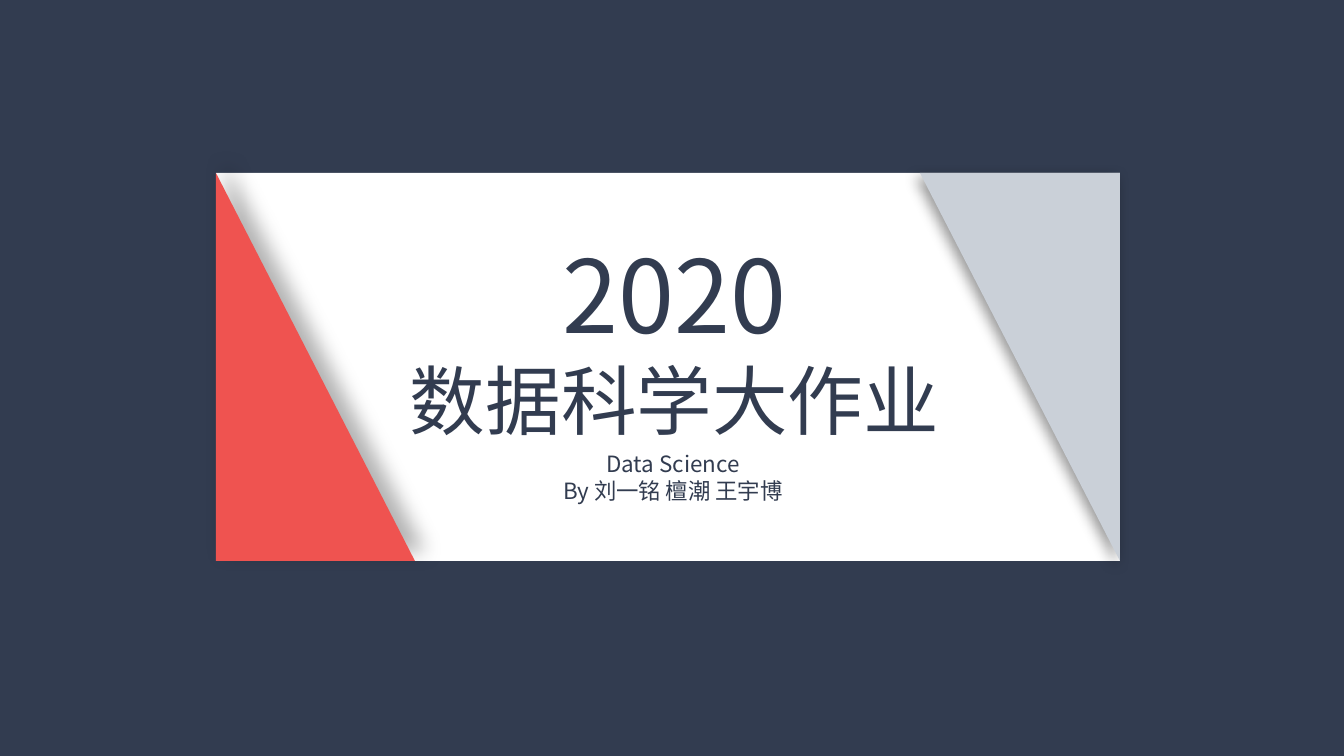
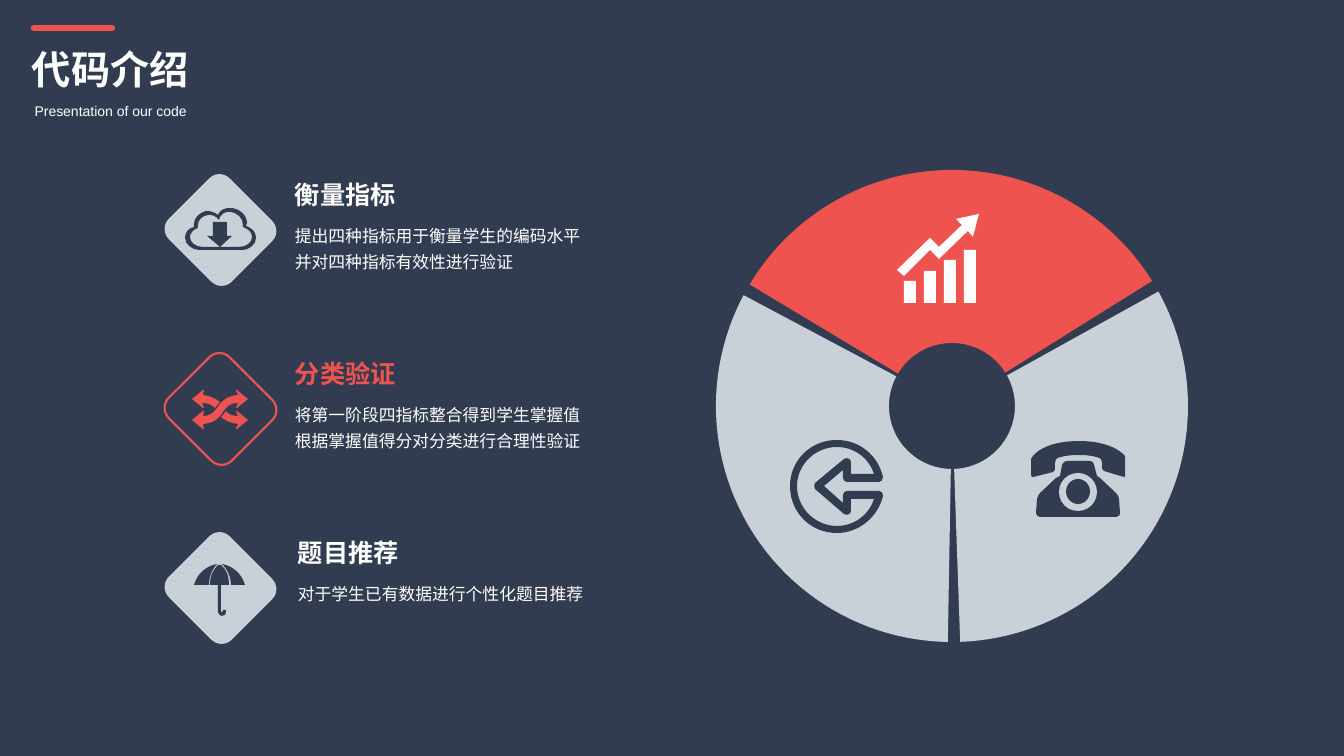
from lxml import etree
from pptx import Presentation
from pptx import util as u
from pptx.dml.color import RGBColor
from pptx.enum import shapes, text
from pptx.oxml import ns

COLORS = {"navy": "323C50", "red": "EF5350", "grey": "CAD0D8", "white": "FFFFFF", "black": "000000"}
CJK = "Noto Sans CJK SC"
EMU_PER_PX = 12192000 / 1344
SHAPE = shapes.MSO_SHAPE
CENTER = text.PP_ALIGN.CENTER

# Outlines in px: a pair is a corner, six numbers are a cubic curve.
TREND_ARROW = [[(973, 237), (979, 214), (956, 219), (962, 225), (939, 247), (930, 238),
                (897, 270), (904, 276), (930, 250), (939, 259), (968, 231)]]
HANDSET = [[(1125, 456), (1125, 456, 1114, 441, 1079, 441), (1043, 441, 1033, 456, 1033, 456),
            (1031, 459), (1031, 476), (1033, 477), (1053, 472), (1055, 470), (1055, 463),
            (1056, 459), (1056, 459, 1061, 455, 1079, 455), (1096, 455, 1101, 459, 1101, 459),
            (1102, 463), (1102, 469), (1104, 471), (1124, 477), (1125, 476)]]
PHONE_BODY = [[(1116, 493), (1100, 478), (1097, 476), (1094, 465), (1094, 462, 1092, 461, 1090, 461),
               (1067, 461), (1065, 461, 1063, 462, 1062, 465), (1060, 476), (1056, 478),
               (1040, 493), (1039, 495, 1037, 497, 1037, 499), (1036, 513),
               (1036, 515, 1038, 517, 1040, 517), (1116, 517), (1119, 517, 1120, 515, 1120, 513),
               (1119, 499), (1119, 497, 1118, 495, 1116, 493)]]
RETURN_ARROW = [
    [(837, 533), (810, 533, 790, 512, 790, 486), (790, 461, 810, 440, 837, 440),
     (859, 440, 878, 455, 883, 477), (883, 480, 881, 482, 879, 482), (847, 482),
     (845, 482, 843, 480, 843, 478), (843, 470), (824, 486), (843, 503), (843, 495),
     (843, 493, 845, 491, 847, 491), (879, 491), (882, 491, 883, 493, 883, 496),
     (878, 517, 859, 533, 837, 533)],
    [(837, 447), (815, 447, 797, 465, 797, 486), (797, 508, 815, 526, 837, 526),
     (854, 526, 869, 515, 874, 499), (851, 499), (851, 511), (851, 514, 847, 516, 844, 514),
     (815, 489), (814, 487, 814, 485, 815, 483), (844, 459), (847, 457, 851, 459, 851, 462),
     (851, 474), (874, 474), (869, 458, 854, 447, 837, 447)]]
CLOUD = [
    [(246, 226), (247, 223), (247, 215, 239, 208, 230, 208),
     (220, 208, 218, 215, 218, 215), (218, 215, 214, 211, 206, 211),
     (199, 213, 194, 218, 194, 224), (194, 227), (189, 228, 185, 232, 185, 238),
     (185, 244, 192, 250, 199, 250), (242, 250), (250, 250, 256, 244, 256, 238),
     (256, 232, 252, 228, 246, 226)],
    [(239, 247), (203, 247), (196, 247, 190, 243, 190, 237), (190, 233, 194, 229, 198, 228),
     (198, 225), (198, 220, 202, 216, 208, 215), (215, 214, 219, 220, 219, 220),
     (219, 220, 220, 212, 229, 212), (237, 212, 243, 218, 243, 225), (243, 227),
     (248, 229, 252, 232, 252, 237), (252, 243, 246, 247, 239, 247)],
    [(213, 222), (227, 222), (227, 236), (232, 236), (220, 247), (207, 236), (213, 236)]]
SHUFFLE = [
    [(248, 420), (237, 429), (236, 429), (238, 424), (229, 423, 225, 420, 221, 417),
     (223, 415, 224, 414, 226, 411), (228, 414, 232, 416, 238, 416), (236, 411), (237, 411)],
    [(204, 408), (202, 403), (209, 403, 212, 405, 215, 408), (220, 402),
     (216, 399, 211, 396, 203, 395), (204, 390), (203, 390), (192, 399), (203, 408)],
    [(223, 412), (227, 407, 229, 403, 238, 403), (236, 408), (237, 408), (248, 399),
     (237, 390), (236, 390), (238, 395), (226, 396, 221, 402, 217, 408),
     (214, 412, 211, 416, 203, 416), (204, 411), (203, 411), (192, 420), (203, 429),
     (204, 429), (203, 424), (215, 423, 220, 417, 223, 412)]]
UMBRELLA = [
    [(194, 585), (197, 574, 206, 566, 217, 564), (216, 565, 209, 573, 209, 585)],
    [(210, 585), (210, 575, 214, 569, 218, 565), (221, 565), (226, 569, 229, 575, 229, 585)],
    [(231, 585), (231, 573, 223, 565, 222, 564), (233, 566, 242, 574, 245, 585)],
    [(218, 585), (218, 612), (218, 614, 220, 616, 222, 616), (225, 616, 226, 614, 226, 612),
     (226, 610), (223, 610), (223, 611), (223, 613, 221, 613, 221, 611), (221, 585)]]

# Heading, body lines, right shift of the text, icon, whether the item is highlighted
TOPICS = [
    ("衡量指标", ["提出四种指标用于衡量学生的编码水平", "并对四种指标有效性进行验证"], 0, CLOUD, False),
    ("分类验证", ["将第一阶段四指标整合得到学生掌握值", "根据掌握值得分对分类进行合理性验证"], 0, SHUFFLE, True),
    ("题目推荐", ["对于学生已有数据进行个性化题目推荐"], 3, UMBRELLA, False),
]


def px(length):
    return u.Emu(round(length * EMU_PER_PX))


def rgb(color):
    return RGBColor.from_string(COLORS[color])


def paint(shape, fill=None, line=None):
    shape.shadow.inherit = False
    if fill:
        shape.fill.solid()
        shape.fill.fore_color.rgb = rgb(fill)
    else:
        shape.fill.background()
    if line:
        shape.line.color.rgb = rgb(line)
        shape.line.width = u.Pt(1.5)
    else:
        shape.line.fill.background()
    return shape


def add_preset(slide, kind, left, top, width, height, fill=None, line=None, rotation=0):
    shape = slide.shapes.add_shape(kind, px(left), px(top), px(width), px(height))
    shape.rotation = rotation
    return paint(shape, fill, line)


def cast_shadow(shape, opacity, blur, distance, angle):
    effects = shape.element.spPr.find(ns.qn("a:effectLst"))
    shadow = etree.SubElement(
        effects, ns.qn("a:outerShdw"), blurRad=str(u.Pt(blur)), dist=str(u.Pt(distance)),
        dir=str(angle * 60000), algn="ctr", rotWithShape="0")
    tint = etree.SubElement(shadow, ns.qn("a:srgbClr"), val=COLORS["black"])
    etree.SubElement(tint, ns.qn("a:alpha"), val=str(opacity * 1000))


def bend_segments(shape, contours):
    """Replace the straight segments that stand for cubic curves."""
    parts = [part for contour in contours for part in contour[1:]]
    for segment, part in zip(list(shape.element.iter(ns.qn("a:lnTo"))), parts):
        if len(part) == 2:
            continue
        curve = etree.Element(ns.qn("a:cubicBezTo"))
        for x, y in zip(part[::2], part[1::2]):
            etree.SubElement(curve, ns.qn("a:pt"),
                             x=str(px(x) - shape.left), y=str(px(y) - shape.top))
        segment.getparent().replace(segment, curve)


def add_outline(slide, contours, fill):
    builder = None
    for contour in contours:
        start, *ends = [(px(part[-2]), px(part[-1])) for part in contour]
        if builder is None:
            builder = slide.shapes.build_freeform(*start)
        else:
            builder.move_to(*start)
        builder.add_line_segments(ends, close=True)
    shape = builder.convert_to_shape()
    bend_segments(shape, contours)
    paint(shape, fill)


def add_sector(slide, center, inner, outer, start, span, fill):
    size = 2 * outer
    sector = add_preset(slide, SHAPE.BLOCK_ARC, center[0] - outer, center[1] - outer,
                        size, size, fill)
    # An angle adjustment of 0.6 is one degree.
    sector.adjustments[0] = start * 0.6
    sector.adjustments[1] = (start + span) % 360 * 0.6
    sector.adjustments[2] = (outer - inner) / size


def add_text(slide, left, top, width, height, lines, sizes, color="white", font="Arial",
             bold=False, align=None, spacing=None, wrap=True):
    box = slide.shapes.add_textbox(px(left), px(top), px(width), px(height))
    frame = box.text_frame
    frame.word_wrap = wrap
    frame.text = "\n".join(lines)
    for paragraph, size in zip(frame.paragraphs, sizes):
        paragraph.alignment = align
        paragraph.line_spacing = spacing
        for run in paragraph.runs:
            run.font.name = font
            run.font.size = u.Pt(size)
            run.font.bold = bold
            run.font.color.rgb = rgb(color)
            etree.SubElement(run.font._element, ns.qn("a:ea"), typeface=CJK)


def add_header(slide, title, subtitle):
    accent = slide.shapes.add_connector(shapes.MSO_CONNECTOR.STRAIGHT,
                                        px(34), px(28), px(112), px(28))
    accent.line.color.rgb = rgb("red")
    accent.line.width = u.Pt(4.5)
    accent.line._ln.set("cap", "rnd")
    etree.SubElement(accent._element.spPr, ns.qn("a:effectLst"))
    add_text(slide, 22, 40, 178, 57, [title], [28], bold=True, wrap=False)
    add_text(slide, 24, 98, 173, 27, [subtitle], [10], align=CENTER, wrap=False)


def add_topic(slide, top, heading, body, shift, icon, highlighted):
    colors = {"line": "red"} if highlighted else {"fill": "grey"}
    add_preset(slide, SHAPE.ROUNDED_RECTANGLE, 176, top + 13, 89, 86, rotation=45, **colors)
    add_outline(slide, icon, "red" if highlighted else "navy")
    left = 285 + shift
    add_text(slide, left, top, 121, 40, [heading], [18],
             color="red" if highlighted else "white", bold=True)
    add_text(slide, left, top + 41, 369, 60, body, [12] * len(body), spacing=1.3)


def add_wheel(slide):
    for index, fill in enumerate(["grey", "red", "grey"]):
        add_sector(slide, (952, 406), 63, 236, 91 + 120 * index, 117, fill)
    add_outline(slide, TREND_ARROW, "white")
    for index, height in enumerate([22, 32, 43, 53]):
        add_preset(slide, SHAPE.RECTANGLE, 904 + 20 * index, 303 - height, 12, height, "white")
    add_outline(slide, HANDSET, "navy")
    add_outline(slide, PHONE_BODY, "navy")
    add_preset(slide, SHAPE.OVAL, 1059, 473, 38, 38, "grey")
    add_preset(slide, SHAPE.OVAL, 1066, 479, 24, 25, "navy")
    add_outline(slide, RETURN_ARROW, "navy")


def build_cover(slide):
    top, height = 173, 388
    add_preset(slide, SHAPE.RECTANGLE, 216, top, 904, height, "white")
    left_wedge = add_preset(slide, SHAPE.RIGHT_TRIANGLE, 216, top, 199, height, "red")
    cast_shadow(left_wedge, 30, 15, 10, 315)
    right_wedge = add_preset(slide, SHAPE.RIGHT_TRIANGLE, 920, top, 200, height, "grey",
                             rotation=180)
    cast_shadow(right_wedge, 40, 10, 5, 135)
    add_text(slide, 366, 228, 617, 224, ["2020", "数据科学大作业"], [72, 54],
             color="navy", font=CJK, align=CENTER)
    add_text(slide, 390, 445, 566, 65, ["Data Science", "By 刘一铭 檀潮 王宇博"], [16, 16],
             color="navy", font=CJK, align=CENTER)


def build_code_overview(slide):
    add_header(slide, "代码介绍", "Presentation of our code")
    add_wheel(slide)
    for index, topic in enumerate(TOPICS):
        add_topic(slide, 174 + 179 * index, *topic)


def main():
    deck = Presentation()
    deck.slide_width, deck.slide_height = px(1344), px(756)
    backdrop = deck.slide_master.background.fill
    backdrop.solid()
    backdrop.fore_color.rgb = rgb("navy")
    for build in (build_cover, build_code_overview):
        build(deck.slides.add_slide(deck.slide_layouts[6]))
    deck.save("out.pptx")


if __name__ == "__main__":
    main()
